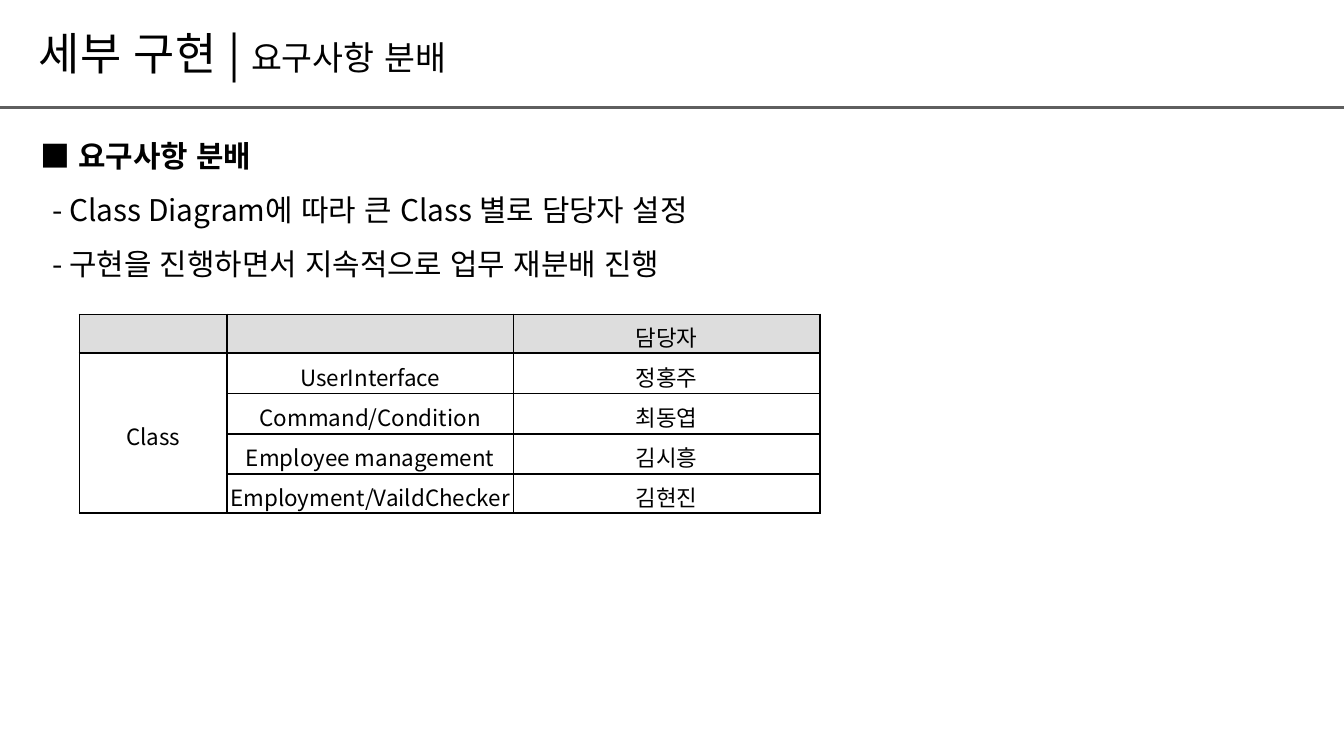
from dataclasses import dataclass

from lxml import etree
from pptx import Presentation
from pptx import util as u
from pptx.dml.color import RGBColor
from pptx.enum import lang, shapes, text
from pptx.oxml import ns

WIDTH = 10
HEIGHT = WIDTH * 9 / 16


@dataclass(frozen=True)
class Theme:
    font: str = "Noto Sans CJK KR"
    ink: str = "000000"
    rule: str = "5F5F5F"
    header: str = "DDDDDD"
    title: int = 24
    subtitle: int = 18
    body: int = 16
    cell: int = 12
    rule_width: int = 2
    border_width: int = 1


THEME = Theme()
FRAME = dict(word_wrap=True, auto_size=text.MSO_AUTO_SIZE.NONE,
             vertical_anchor=text.MSO_ANCHOR.TOP)
MARGINS = ("margin_left", "margin_top", "margin_right", "margin_bottom")


def apply(target, values):
    for name, value in values.items():
        setattr(target, name, value)


def inches(*values):
    return [u.Inches(value) for value in values]


def margins(*values):
    return dict(zip(MARGINS, inches(*values)))


def place(part, box):
    apply(part, dict(zip(("left", "top", "width", "height"), inches(*box))))


def sub(parent, tag, **attributes):
    return etree.SubElement(parent, ns.qn(tag), **attributes)


def write(paragraph, words, size, bold=False):
    run = paragraph.add_run()
    run.text = words
    apply(run.font, dict(name=THEME.font, size=u.Pt(size), bold=bold,
                         language_id=lang.MSO_LANGUAGE_ID.KOREAN))
    run.font.color.rgb = RGBColor.from_string(THEME.ink)
    run.font._element.set("kern", "0")
    sub(run.font._element, "a:ea", typeface=THEME.font)


def add_heading(slide, box, section, topic):
    title = slide.shapes.title
    place(title, box)
    apply(title.text_frame, FRAME | margins(0.09, 0.04, 0.09, 0.04))
    line = title.text_frame.paragraphs[0]
    line.alignment = text.PP_ALIGN.LEFT
    write(line, f"{section} | ", THEME.title)
    write(line, topic, THEME.subtitle)


def add_rule(slide, y):
    rule = slide.shapes.add_connector(
        shapes.MSO_CONNECTOR.STRAIGHT, *inches(0, y, WIDTH, y))
    rule.line.color.rgb = RGBColor.from_string(THEME.rule)
    rule.line.width = u.Pt(THEME.rule_width)
    sub(rule._element.spPr, "a:effectLst")


def add_points(slide, box, heading, points):
    body = slide.placeholders[1]
    place(body, box)
    frame = body.text_frame
    apply(frame, FRAME | margins(0.1, 0.05, 0.1, 0.05))
    for index, words in enumerate([heading, *points]):
        line = frame.add_paragraph() if index else frame.paragraphs[0]
        apply(line, dict(line_spacing=1.5, space_before=u.Pt(0),
                         alignment=text.PP_ALIGN.LEFT))
        properties = line._p.get_or_add_pPr()
        properties.set("marL", str(u.Inches(0.09 if index else 0)))
        properties.set("indent", "0")
        sub(properties, "a:buNone")
        write(line, words, THEME.body, bold=index == 0)


def add_borders(cell):
    properties = cell._tc.get_or_add_tcPr()
    for side in ("a:lnL", "a:lnR", "a:lnT", "a:lnB"):
        border = sub(properties, side, w=str(u.Pt(THEME.border_width)))
        sub(sub(border, "a:solidFill"), "a:srgbClr", val=THEME.ink)


def fill_cell(cell, words, is_header):
    add_borders(cell)
    if is_header:
        cell.fill.solid()
        cell.fill.fore_color.rgb = RGBColor.from_string(THEME.header)
    else:
        cell.fill.background()
    apply(cell, margins(0.01, 0.01, 0.01, 0)
          | dict(vertical_anchor=text.MSO_ANCHOR.MIDDLE))
    line = cell.text_frame.paragraphs[0]
    apply(line, dict(alignment=text.PP_ALIGN.CENTER, line_spacing=1.15))
    if words:
        write(line, words, THEME.cell)
    sub(line._p, "a:endParaRPr", sz=str(THEME.cell * 100))


def add_assignments(slide, box, column_weights, row_weights, rows):
    table = slide.shapes.add_table(
        len(rows), len(rows[0]), *inches(*box)).table
    apply(table, dict(first_row=False, horz_banding=False))
    for column, weight in zip(table.columns, column_weights):
        column.width = u.Inches(box[2] * weight / sum(column_weights))
    for row, weight in zip(table.rows, row_weights):
        row.height = u.Inches(box[3] * weight / sum(row_weights))
    for r, row in enumerate(rows):
        for c, words in enumerate(row):
            fill_cell(table.cell(r, c), words, r == 0)
    table.cell(1, 0).merge(table.cell(len(rows) - 1, 0))


def main():
    deck = Presentation()
    apply(deck, dict(slide_width=u.Inches(WIDTH), slide_height=u.Inches(HEIGHT)))
    slide = deck.slides.add_slide(deck.slide_layouts[1])
    left = WIDTH * 0.02
    add_rule(slide, 0.8)
    add_heading(slide, (left, 0.15, WIDTH * 0.7, 0.49), "세부 구현", "요구사항 분배")
    add_points(slide, (left, HEIGHT * 0.15, WIDTH * 0.61, 1.31), "■ 요구사항 분배", [
        "- Class Diagram에 따라 큰 Class 별로 담당자 설정",
        "- 구현을 진행하면서 지속적으로 업무 재분배 진행",
    ])
    add_assignments(
        slide, (0.59, 2.34, 5.51, 1.45),
        (1.1, 2.13, 2.28), (0.28, 0.3, 0.3, 0.3, 0.27), [
            ("", "", "담당자"),
            ("Class", "UserInterface", "정홍주"),
            ("", "Command/Condition", "최동엽"),
            ("", "Employee management", "김시흥"),
            ("", "Employment/VaildChecker", "김현진"),
        ])
    deck.save("out.pptx")


if __name__ == "__main__":
    main()
